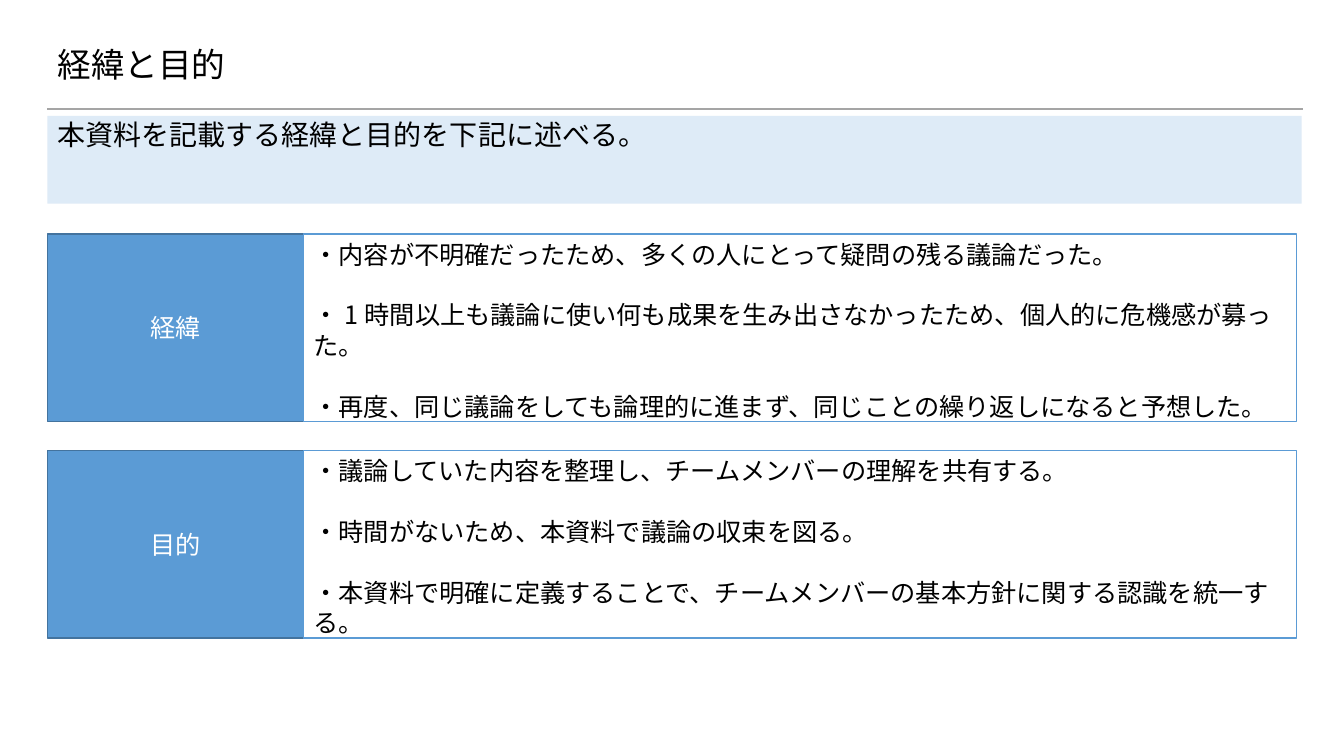
from dataclasses import dataclass

from lxml.etree import SubElement
from pptx import Presentation
from pptx.dml.color import RGBColor
from pptx.enum.lang import MSO_LANGUAGE_ID as Lang
from pptx.enum.shapes import MSO_CONNECTOR as Connector, MSO_SHAPE as Preset
from pptx.enum.text import MSO_ANCHOR as Anchor, PP_ALIGN as Align
from pptx.oxml.ns import qn
from pptx.util import Inches, Pt

FONT = "Noto Sans CJK JP"
BLACK, WHITE, BLUE = "000000", "FFFFFF", "5B9BD5"
LEFT, LABEL_WIDTH, DETAIL_WIDTH = 0.47, 2.54, 9.85
FIRST_ROW, ROW_HEIGHT, ROW_PITCH = 2.32, 1.86, 2.15
LEADING = 21.7


@dataclass(frozen=True)
class Area:
    left: float
    top: float
    width: float
    height: float

    def lengths(self) -> tuple:
        return tuple(Inches(n) for n in (self.left, self.top, self.width, self.height))


@dataclass(frozen=True)
class TextStyle:
    size: float
    color: str = BLACK
    align: Align = Align.LEFT
    anchor: Anchor = Anchor.TOP
    leading: float | None = LEADING
    gap: float = 0


@dataclass(frozen=True)
class Section:
    label: str
    points: tuple[str, ...]


TITLE = TextStyle(24, anchor=Anchor.MIDDLE, leading=None)
LEAD = TextStyle(20)
LABEL = TextStyle(18, WHITE, Align.CENTER, Anchor.MIDDLE)
DETAIL = TextStyle(18, gap=LEADING)

SECTIONS = (
    Section("経緯", (
        "・内容が不明確だったため、多くの人にとって疑問の残る議論だった。",
        "・1時間以上も議論に使い何も成果を生み出さなかったため、個人的に危機感が募った。",
        "・再度、同じ議論をしても論理的に進まず、同じことの繰り返しになると予想した。",
    )),
    Section("目的", (
        "・議論していた内容を整理し、チームメンバーの理解を共有する。",
        "・時間がないため、本資料で議論の収束を図る。",
        "・本資料で明確に定義することで、チームメンバーの基本方針に関する認識を統一する。",
    )),
)


def paint(color_format, value: str) -> None:
    color_format.rgb = RGBColor.from_string(value)


def write(shape, lines: tuple[str, ...], style: TextStyle) -> None:
    frame = shape.text_frame
    frame.word_wrap = True
    frame.vertical_anchor = style.anchor
    for index, line in enumerate(lines):
        para = frame.add_paragraph() if index else frame.paragraphs[0]
        para.alignment = style.align
        para.line_spacing = Pt(style.leading) if style.leading else 0.9
        para.space_before = Pt(style.gap if index else 0)
        span = para.add_run()
        span.text = line
        span.font.size = Pt(style.size)
        span.font.name = FONT
        span.font.language_id = Lang.JAPANESE
        paint(span.font.color, style.color)
        latin = span.font._element.find(qn("a:latin"))
        east_asian = SubElement(span.font._element, qn("a:ea"), typeface=FONT)
        latin.addnext(east_asian)


def add_panel(page, area: Area, fill: str, outline: str | None,
              lines: tuple[str, ...], style: TextStyle) -> None:
    panel = page.shapes.add_shape(Preset.RECTANGLE, *area.lengths())
    panel.shadow.inherit = False
    panel.fill.solid()
    paint(panel.fill.fore_color, fill)
    if outline:
        paint(panel.line.color, outline)
        panel.line.width = Pt(1)
    else:
        panel.line.fill.background()
    write(panel, lines, style)


def add_rule(page, left: float, right: float, top: float) -> None:
    rule = page.shapes.add_connector(
        Connector.STRAIGHT, Inches(left), Inches(top), Inches(right), Inches(top))
    paint(rule.line.color, "A5A5A5")
    rule.line.width = Pt(1.5)
    SubElement(rule._element.spPr, qn("a:effectLst"))


def add_section(page, row: int, section: Section) -> None:
    top = FIRST_ROW + row * ROW_PITCH
    label_area = Area(LEFT, top, LABEL_WIDTH, ROW_HEIGHT)
    detail_area = Area(LEFT + LABEL_WIDTH, top, DETAIL_WIDTH, ROW_HEIGHT)
    add_panel(page, label_area, BLUE, "43739E", (section.label,), LABEL)
    add_panel(page, detail_area, WHITE, BLUE, section.points, DETAIL)


deck = Presentation()
deck.slide_width, deck.slide_height = Inches(13.33), Inches(7.5)
page = deck.slides.add_slide(deck.slide_layouts[5])

add_rule(page, LEFT, 12.92, 1.08)
title = page.shapes.title
title.left, title.top, title.width, title.height = Area(LEFT, 0.37, 11.5, 0.59).lengths()
write(title, ("経緯と目的",), TITLE)
add_panel(page, Area(LEFT, 1.15, 12.44, 0.87), "DEEBF7", None,
          ("本資料を記載する経緯と目的を下記に述べる。",), LEAD)
for row, section in enumerate(SECTIONS):
    add_section(page, row, section)

deck.save("out.pptx")
